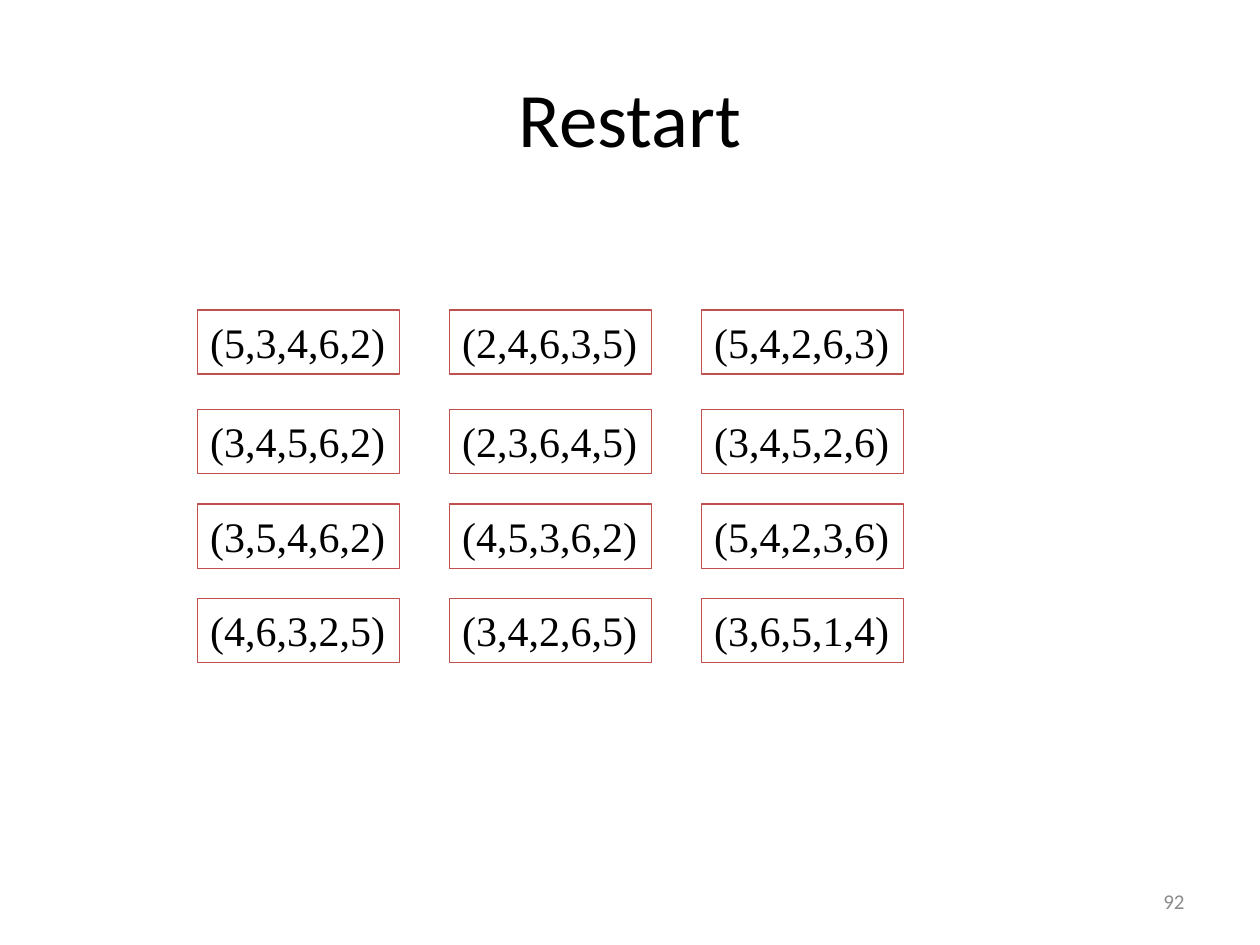
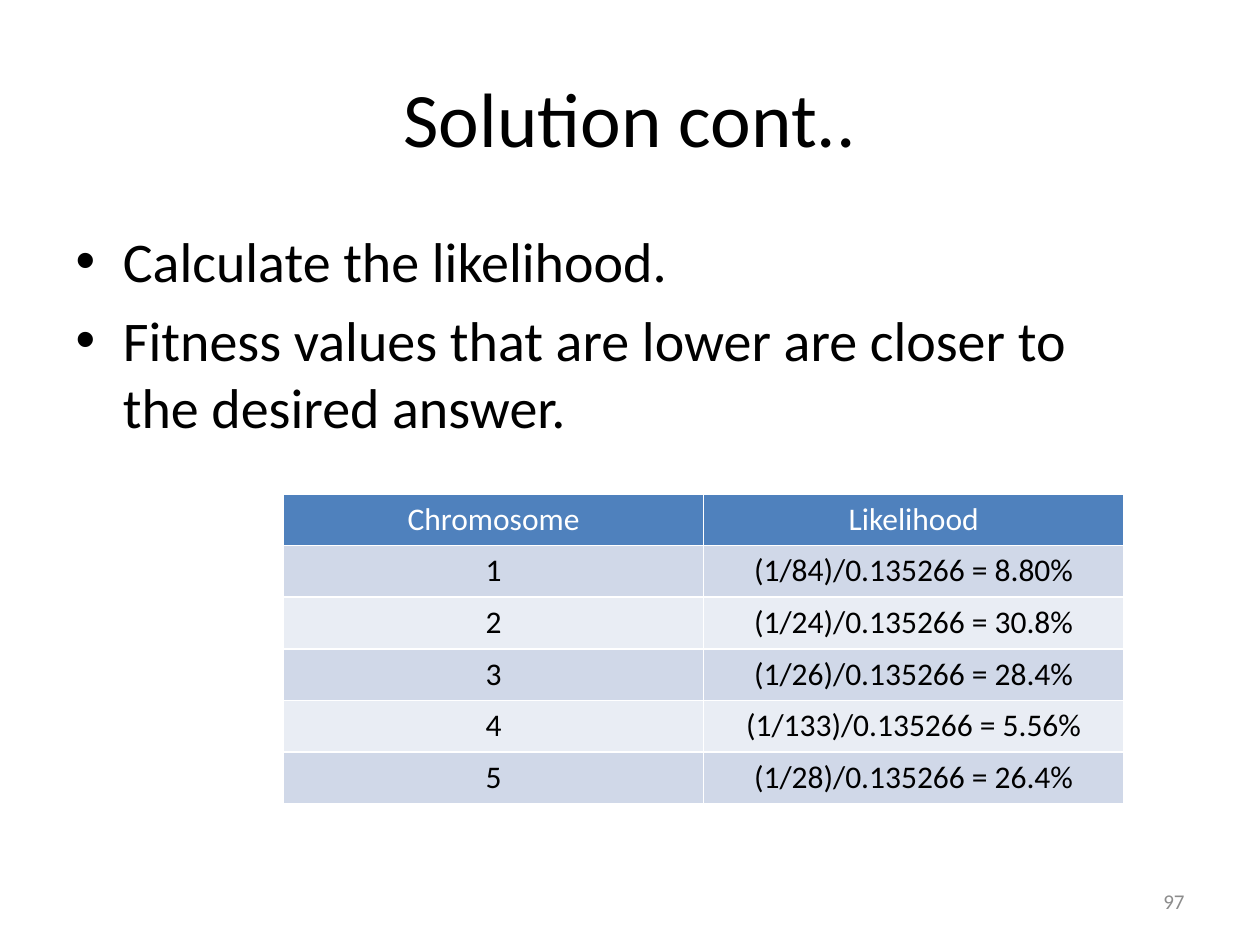
import dataclasses

import pptx
import pptx.dml.color
import pptx.enum.shapes
import pptx.enum.text
import pptx.util

Inches = pptx.util.Inches
Pt = pptx.util.Pt
ALIGN = pptx.enum.text.PP_ALIGN
ANCHOR = pptx.enum.text.MSO_ANCHOR
AUTO_SIZE = pptx.enum.text.MSO_AUTO_SIZE


def rgb(code):
    return pptx.dml.color.RGBColor.from_string(code)


@dataclasses.dataclass(frozen=True)
class Theme:
    sans: str = "Calibri"
    serif: str = "Times New Roman"
    ink: str = "000000"
    paper: str = "FFFFFF"
    muted: str = "8C8C8C"
    outline: str = "C0504D"
    header: str = "4F81BD"
    bands: tuple = ("D0D8E8", "E9EDF4")
    title_size: int = 44
    body_size: int = 32
    chromosome_size: int = 24
    table_size: int = 18
    number_size: int = 12


class Deck:
    TITLE_AND_BODY, TITLE_ONLY = 1, 5

    def __init__(self, theme):
        self.theme = theme
        self.presentation = pptx.Presentation()
        self.presentation.slide_width = Inches(10)
        self.presentation.slide_height = Inches(7.5)
        self.slide = None

    def format_text(self, paragraph, size, color=None, font=None, align=ALIGN.LEFT):
        paragraph.alignment = align
        formats = {"name": font or self.theme.sans, "size": Pt(size), "bold": False}
        for name, value in formats.items():
            setattr(paragraph.font, name, value)
        paragraph.font.color.rgb = rgb(color or self.theme.ink)

    def place(self, shape, left, top, width, height):
        box = {"left": left, "top": top, "width": width, "height": height}
        for side, length in box.items():
            setattr(shape, side, Inches(length))

    def start_slide(self, layout, title, number):
        """Add a slide with its title and slide number."""
        layouts = self.presentation.slide_layouts
        self.slide = self.presentation.slides.add_slide(layouts[layout])
        heading = self.slide.shapes.title
        self.place(heading, 0.5, 0.3, 9, 1.25)
        heading.text_frame.text = title
        heading.text_frame.vertical_anchor = ANCHOR.MIDDLE
        self.format_text(heading.text_frame.paragraphs[0],
                         self.theme.title_size, align=ALIGN.CENTER)
        self.add_number(number)

    def add_number(self, number):
        footer = self.slide.shapes.add_textbox(
            Inches(7.17), Inches(6.95), Inches(2.33), Inches(0.4)).text_frame
        footer.word_wrap = True
        footer.vertical_anchor = ANCHOR.MIDDLE
        footer.text = str(number)
        self.format_text(footer.paragraphs[0], self.theme.number_size,
                         self.theme.muted, align=ALIGN.RIGHT)

    def add_bullets(self, points):
        body = self.slide.placeholders[1]
        self.place(body, 0.5, 1.75, 8.17, 5.33)
        frame = body.text_frame
        frame.auto_size = AUTO_SIZE.NONE
        frame.text = "\n".join(points)
        for index, point in enumerate(frame.paragraphs):
            point.space_before = Pt(0.2 * self.theme.body_size if index else 0)
            self.format_text(point, self.theme.body_size)

    def add_chromosome(self, genes, left, top):
        """Add an outlined box that holds one gene sequence."""
        box = self.slide.shapes.add_shape(
            pptx.enum.shapes.MSO_SHAPE.RECTANGLE,
            Inches(left), Inches(top), Inches(1.6), Inches(0.51))
        box.shadow.inherit = False
        box.fill.background()
        box.line.color.rgb = rgb(self.theme.outline)
        box.line.width = Pt(0.75)
        frame = box.text_frame
        settings = {"word_wrap": False, "vertical_anchor": ANCHOR.TOP,
                    "auto_size": AUTO_SIZE.SHAPE_TO_FIT_TEXT, "text": genes}
        for name, value in settings.items():
            setattr(frame, name, value)
        self.format_text(frame.paragraphs[0], self.theme.chromosome_size,
                         font=self.theme.serif)

    def add_table(self, rows, left, top, width, row_height):
        """Add a table with a header row and banded rows below it."""
        table = self.slide.shapes.add_table(
            len(rows), len(rows[0]), Inches(left), Inches(top),
            Inches(width), Inches(row_height * len(rows))).table
        for row, values in enumerate(rows):
            fill = self.theme.bands[(row - 1) % 2] if row else self.theme.header
            color = self.theme.ink if row else self.theme.paper
            for column, value in enumerate(values):
                cell = table.cell(row, column)
                cell.text = value
                cell.fill.solid()
                cell.fill.fore_color.rgb = rgb(fill)
                self.format_text(cell.text_frame.paragraphs[0],
                                 self.theme.table_size, color, align=ALIGN.CENTER)


def build_restart(deck):
    population = {
        2.46: ("(5,3,4,6,2)", "(2,4,6,3,5)", "(5,4,2,6,3)"),
        3.25: ("(3,4,5,6,2)", "(2,3,6,4,5)", "(3,4,5,2,6)"),
        4.0: ("(3,5,4,6,2)", "(4,5,3,6,2)", "(5,4,2,3,6)"),
        4.75: ("(4,6,3,2,5)", "(3,4,2,6,5)", "(3,6,5,1,4)"),
    }
    deck.start_slide(Deck.TITLE_ONLY, "Restart", 92)
    for top, chromosomes in population.items():
        for column, genes in enumerate(chromosomes):
            deck.add_chromosome(genes, 1.57 + 2 * column, top)


def build_solution(deck):
    likelihoods = {84: "8.80%", 24: "30.8%", 26: "28.4%", 133: "5.56%", 28: "26.4%"}
    rows = [("Chromosome", "Likelihood")]
    for chromosome, (fitness, share) in enumerate(likelihoods.items(), start=1):
        rows.append((str(chromosome), f"(1/{fitness})/0.135266 = {share}"))
    deck.start_slide(Deck.TITLE_AND_BODY, "Solution cont..", 97)
    deck.add_bullets([
        "Calculate the likelihood.",
        "Fitness values that are lower are closer to the desired answer.",
    ])
    deck.add_table(rows, 2.25, 3.92, 6.67, 0.41)


def main():
    deck = Deck(Theme())
    build_restart(deck)
    build_solution(deck)
    deck.presentation.save("out.pptx")


if __name__ == "__main__":
    main()
